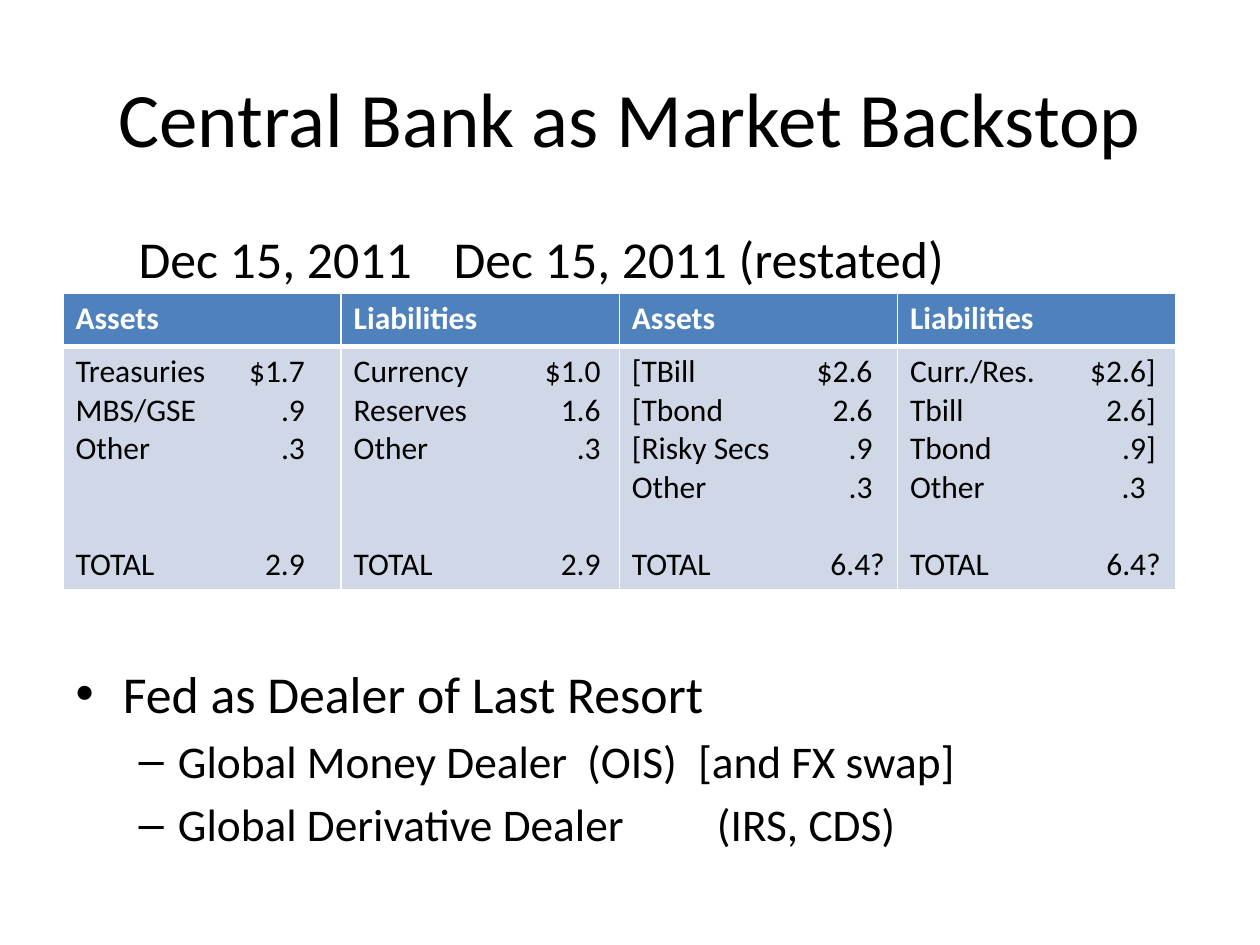
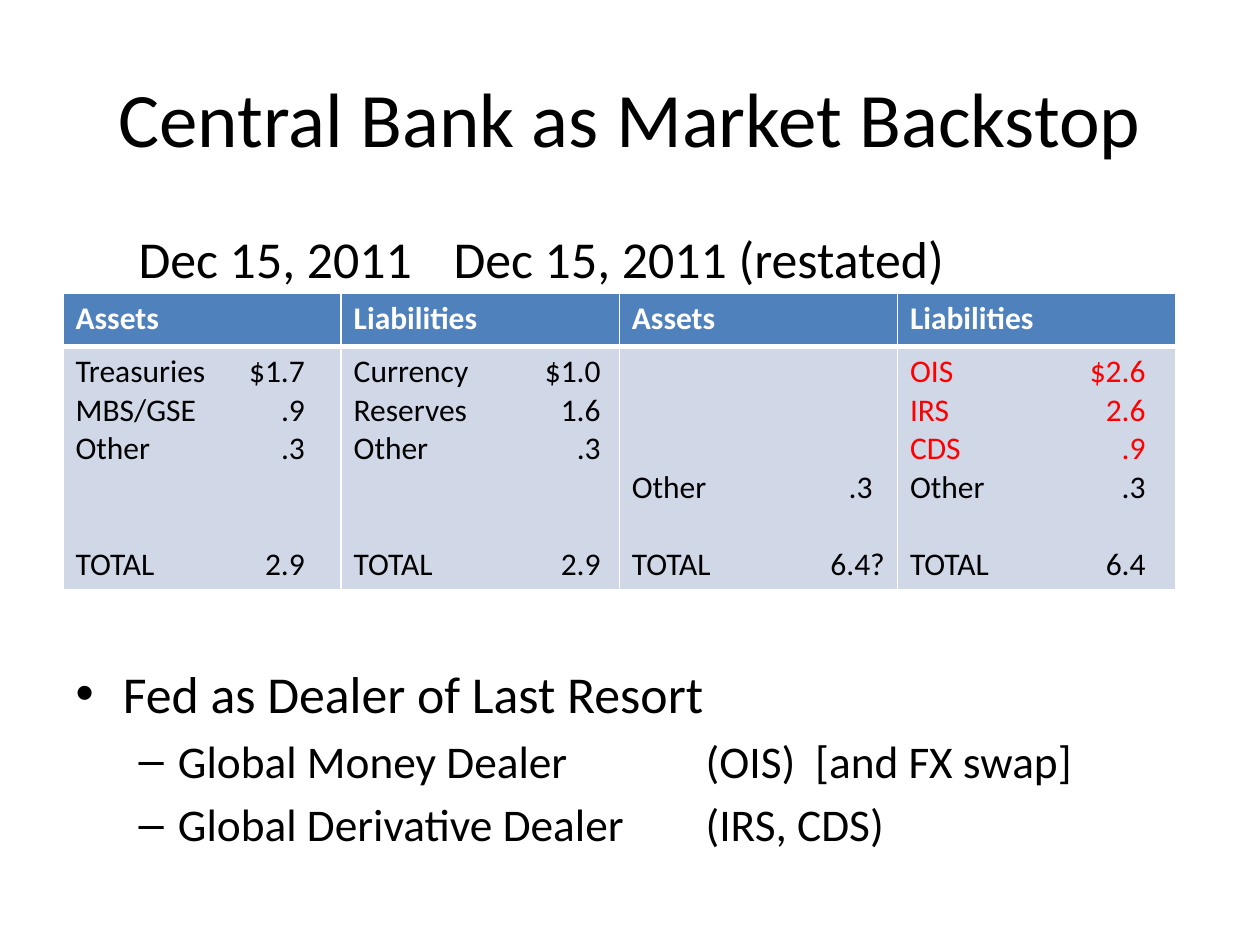
from lxml import etree
from pptx import Presentation
from pptx.dml.color import RGBColor
from pptx.enum.text import MSO_ANCHOR, MSO_AUTO_SIZE, PP_ALIGN
from pptx.oxml.ns import qn
from pptx.util import Inches, Pt

MIDDLE, BOTTOM = MSO_ANCHOR.MIDDLE, MSO_ANCHOR.BOTTOM
CENTER = PP_ALIGN.CENTER
NO_FIT = MSO_AUTO_SIZE.NONE

FONT = "Calibri"
BLACK, WHITE, RED = "000000", "FFFFFF", "FF0000"
HEADER_FILL, BODY_FILL = "4F81BD", "D0D8E8"
TITLE_SIZE, LIST_SIZE, SUBLIST_SIZE, TABLE_SIZE = 44, 29.6, 25.9, 18
TABLE_LINE = 22

DECIMAL_POINTS = [1.63, 1.77, 1.72, 1.68]
SUFFIX_WIDTHS = {"]": 0.08, "?": 0.12}

TITLE = "Central Bank as Market Backstop"
HEADERS = ["Assets", "Liabilities"] * 2
PERIODS = ["Dec 15, 2011", "Dec 15, 2011 (restated)"]
REPORTED = [
    ([("Treasuries", "$1.7"), ("MBS/GSE", ".9"), ("Other", ".3")], "2.9", 2),
    ([("Currency", "$1.0"), ("Reserves", "1.6"), ("Other", ".3")], "2.9", 2),
]
RESTATED = [
    ([("[TBill", "$2.6"), ("[Tbond", "2.6"), ("[Risky Secs", ".9"), ("Other", ".3")], "6.4?", 1),
    ([("Curr./Res.", "$2.6]"), ("Tbill", "2.6]"), ("Tbond", ".9]"), ("Other", ".3")], "6.4?", 1),
]
DERIVATIVES = [
    ([("Other", ".3")], "6.4?", 1),
    ([("OIS", "$2.6"), ("IRS", "2.6"), ("CDS", ".9"), ("Other", ".3")], "6.4", 1),
]
HIGHLIGHTED = {"OIS", "IRS", "CDS"}


def color(value):
    return RGBColor.from_string(value)


class Deck:
    def __init__(self):
        self.presentation = Presentation()
        self.presentation.slide_width = Inches(10)
        self.presentation.slide_height = Inches(7.5)
        self.slide = None

    def add_slide(self):
        self.slide = self.presentation.slides.add_slide(self.presentation.slide_layouts[1])

    def place(self, shape, left, top, width, height):
        shape.left, shape.top = Inches(left), Inches(top)
        shape.width, shape.height = Inches(width), Inches(height)

    def style(self, paragraph, size, text_color=BLACK, bold=False):
        font = paragraph.font
        font.name, font.size, font.bold = FONT, Pt(size), bold
        font.color.rgb = color(text_color)

    def set_tabs(self, paragraph, stops, alignment="l"):
        tabs = etree.SubElement(paragraph._p.get_or_add_pPr(), qn("a:tabLst"))
        for stop in stops:
            etree.SubElement(tabs, qn("a:tab"), pos=str(Inches(stop)), algn=alignment)

    def next_paragraph(self, frame):
        first = frame.paragraphs[0]
        return frame.add_paragraph() if first.runs else first

    def title(self, text):
        shape = self.slide.shapes.title
        self.place(shape, 0.5, 0.3, 9, 1.25)
        frame = shape.text_frame
        frame.text = text
        frame.vertical_anchor = MIDDLE
        paragraph = frame.paragraphs[0]
        paragraph.alignment = CENTER
        self.style(paragraph, TITLE_SIZE)

    def body(self, periods, heading, items):
        shape = self.slide.placeholders[1]
        self.place(shape, 0.5, 1.75, 9, 4.95)
        frame = shape.text_frame
        frame.auto_size = NO_FIT
        period_line = frame.paragraphs[0]
        period_line.text = "".join("\t" + period for period in periods)
        properties = period_line._p.get_or_add_pPr()
        properties.set("marL", "0")
        properties.set("indent", "0")
        etree.SubElement(properties, qn("a:buNone"))
        self.set_tabs(period_line, [1.12, 4.4])
        period_line.space_before = Pt(0)
        self.style(period_line, LIST_SIZE)

        paragraph = frame.add_paragraph()
        paragraph.text = heading
        paragraph.space_before = Pt(213)
        self.style(paragraph, LIST_SIZE)
        for parts, stops in items:
            paragraph = frame.add_paragraph()
            paragraph.text = "\t".join(parts)
            paragraph.level = 1
            self.set_tabs(paragraph, stops)
            paragraph.space_before = Pt(5.2)
            self.style(paragraph, SUBLIST_SIZE)

    def format_cell(self, cell, fill, top, bottom):
        properties = cell._tc.get_or_add_tcPr()
        for side, width in (("L", 1), ("R", 1), ("T", top), ("B", bottom)):
            line = etree.SubElement(properties, qn("a:ln" + side), w=str(Pt(width)))
            solid = etree.SubElement(line, qn("a:solidFill"))
            etree.SubElement(solid, qn("a:srgbClr"), val=WHITE)
        cell.fill.solid()
        cell.fill.fore_color.rgb = color(fill)

    def amount(self, frame, label, value, point):
        paragraph = self.next_paragraph(frame)
        paragraph.text = f"{label}\t{value}"
        stop = point + 0.19 + SUFFIX_WIDTHS.get(value[-1], 0)
        self.set_tabs(paragraph, [stop], "r")
        self.style(paragraph, TABLE_SIZE, RED if label in HIGHLIGHTED else BLACK)
        return paragraph

    def balance_sheet(self, accounts):
        table = self.slide.shapes.add_table(
            2, len(accounts), Inches(0.5), Inches(2.33), Inches(8.83), Inches(2.33)
        ).table
        table.rows[0].height, table.rows[1].height = Inches(0.42), Inches(1.91)
        for index, (entries, total, gap) in enumerate(accounts):
            header, cell = table.cell(0, index), table.cell(1, index)
            self.format_cell(header, HEADER_FILL, 1, 3)
            header.text = HEADERS[index]
            self.style(header.text_frame.paragraphs[0], TABLE_SIZE, WHITE, True)

            self.format_cell(cell, BODY_FILL, 3, 1)
            cell.vertical_anchor = BOTTOM
            for label, value in entries:
                self.amount(cell.text_frame, label, value, DECIMAL_POINTS[index])
            total_line = self.amount(cell.text_frame, "TOTAL", total, DECIMAL_POINTS[index])
            total_line.space_before = Pt(gap * TABLE_LINE)

    def backstop_slide(self, restated, money_stops, derivative_stops):
        self.add_slide()
        self.title(TITLE)
        self.body(PERIODS, "Fed as Dealer of Last Resort", [
            (["Global Money Dealer", "(OIS)", "[and FX swap]"], money_stops),
            (["Global Derivative Dealer", "(IRS, CDS)"], derivative_stops),
        ])
        self.balance_sheet(REPORTED + restated)


def main():
    deck = Deck()
    deck.backstop_slide(RESTATED, [4.06, 4.94], [5.09])
    deck.backstop_slide(DERIVATIVES, [5, 5.87], [5])
    deck.presentation.save("out.pptx")


if __name__ == "__main__":
    main()
